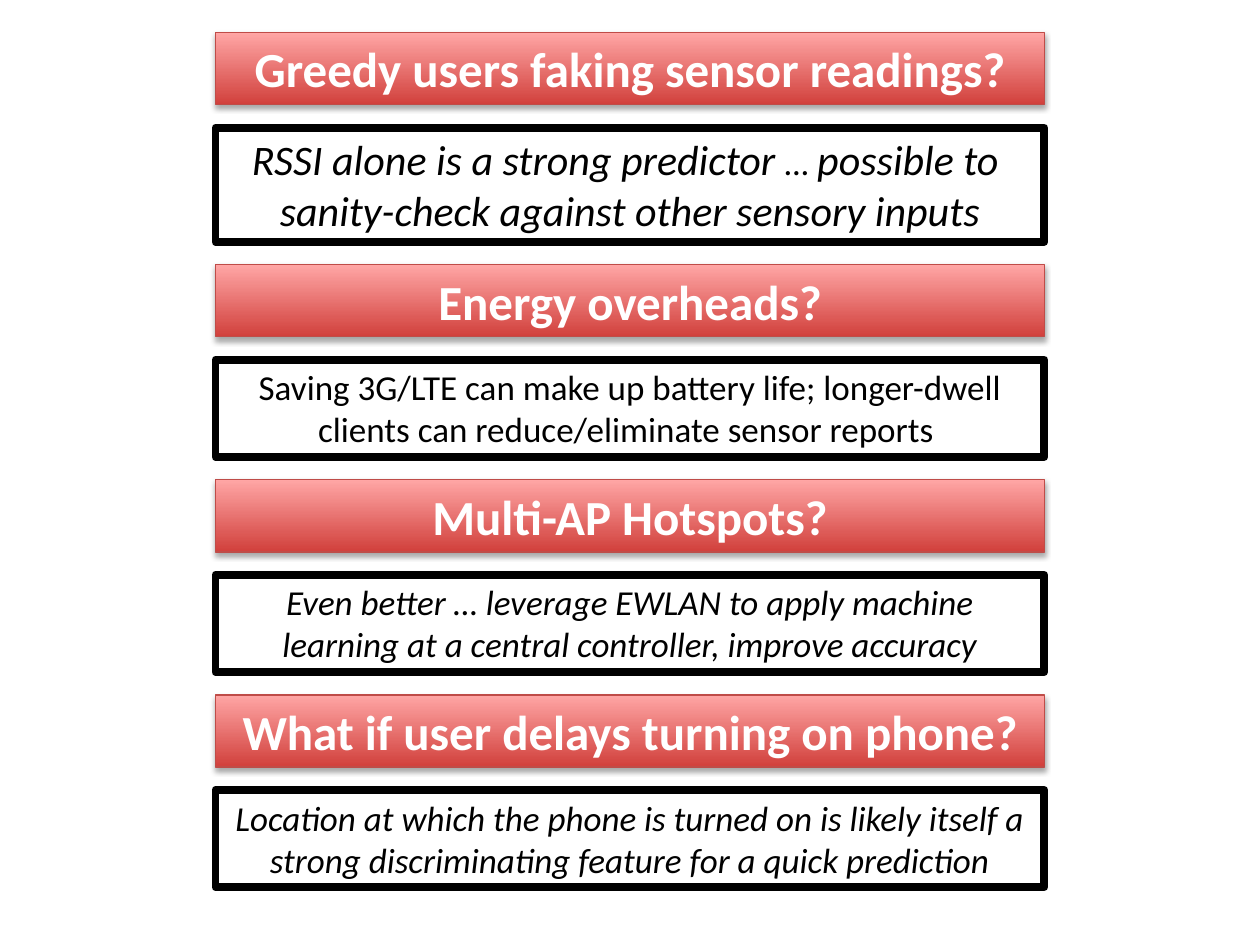
from dataclasses import dataclass

from lxml import etree
from pptx import Presentation
from pptx.dml.color import RGBColor
from pptx.enum.shapes import MSO_SHAPE
from pptx.enum.text import MSO_ANCHOR, MSO_AUTO_SIZE, PP_ALIGN
from pptx.oxml.ns import qn
from pptx.util import Pt

RECTANGLE = MSO_SHAPE.RECTANGLE
CENTER = PP_ALIGN.CENTER
TOP = MSO_ANCHOR.TOP
GROW = MSO_AUTO_SIZE.SHAPE_TO_FIT_TEXT


@dataclass(frozen=True)
class Theme:
    """Colours, type and line sizes of the slide."""

    font: str = "Calibri"
    black: str = "000000"
    white: str = "FFFFFF"
    red_dark: str = "D1403C"
    red_light: str = "FFA6A5"
    red_line: str = "BF4C48"
    question_size: int = 28
    large_size: int = 24
    answer_size: int = 20
    question_line: float = 0.75
    answer_line: float = 4.5


THEME = Theme()
SLIDE_SIZE = (720, 540)
LEFT, FIRST_TOP, WIDTH, GAP = 123.2, 18.7, 473.6, 13
QUESTION_HEIGHT = 41.2

ENTRIES = [
    ("Greedy users faking sensor readings?", 65.4, True, [
        [("RSSI alone is a strong predictor ", THEME.large_size),
         ("… ", THEME.answer_size),
         ("possible to ", THEME.large_size)],
        [("sanity-check against other sensory inputs", THEME.large_size)],
    ]),
    ("Energy overheads?", 55.7, False, [
        [("Saving 3G/LTE can make up battery life; longer-dwell clients can "
          "reduce/eliminate sensor reports ", THEME.answer_size)],
    ]),
    ("Multi-AP Hotspots?", 55.7, True, [
        [("Even better … leverage EWLAN to apply machine learning at a "
          "central controller, improve accuracy", THEME.answer_size)],
    ]),
    ("What if user delays turning on phone?", 55.7, True, [
        [("Location at which the phone is turned on is likely itself a strong "
          "discriminating feature for a quick prediction", THEME.answer_size)],
    ]),
]


def add_span(para, text, *, size, color, bold=False, italic=False):
    """Append formatted text to a paragraph."""
    span = para.add_run()
    span.text = text
    font = span.font
    font.name, font.size = THEME.font, Pt(size)
    font.bold, font.italic = bold, italic
    font.color.rgb = RGBColor.from_string(color)


def add_panel(page, box, paragraphs, *, line, line_width, **style):
    """Place an unfilled rectangle holding centred paragraphs of (text, size)."""
    panel = page.shapes.add_shape(RECTANGLE, *(Pt(length) for length in box))
    panel.shadow.inherit = False
    panel.fill.background()
    panel.line.color.rgb = RGBColor.from_string(line)
    panel.line.width = Pt(line_width)
    frame = panel.text_frame
    frame.word_wrap = True
    frame.auto_size = GROW
    frame.vertical_anchor = TOP
    for index, spans in enumerate(paragraphs):
        para = frame.add_paragraph() if index else frame.paragraphs[0]
        para.alignment = CENTER
        for text, size in spans:
            add_span(para, text, size=size, **style)
    return panel


def add_drop_shadow(shape):
    """Give a shape a soft shadow falling straight down."""
    effects = shape._element.spPr.find(qn("a:effectLst"))
    shadow = etree.SubElement(
        effects, qn("a:outerShdw"), blurRad=str(Pt(3.1)), dist=str(Pt(1.8)),
        dir="5400000", rotWithShape="0")
    color = etree.SubElement(shadow, qn("a:srgbClr"), val=THEME.black)
    etree.SubElement(color, qn("a:alpha"), val="35000")


def add_question(page, box, text):
    """Place a red gradient bar with a question."""
    bar = add_panel(page, box, [[(text, THEME.question_size)]],
                    line=THEME.red_line, line_width=THEME.question_line,
                    color=THEME.white, bold=True)
    bar.fill.gradient()
    bar.fill.gradient_angle = 90
    for stop, color in zip(bar.fill.gradient_stops,
                           (THEME.red_dark, THEME.red_light)):
        stop.color.rgb = RGBColor.from_string(color)
    for stop, position in zip(bar.fill.gradient_stops, (0, 1)):
        stop.position = position
    add_drop_shadow(bar)


def add_answer(page, box, paragraphs, italic):
    """Place a heavily outlined answer box."""
    add_panel(page, box, paragraphs, line=THEME.black,
              line_width=THEME.answer_line, color=THEME.black, italic=italic)


def add_questions_and_answers(page, left, top, width):
    """Stack every question above its answer with equal gaps."""
    for question, answer_height, italic, answer in ENTRIES:
        add_question(page, (left, top, width, QUESTION_HEIGHT), question)
        top += QUESTION_HEIGHT + GAP
        add_answer(page, (left, top, width, answer_height), answer, italic)
        top += answer_height + GAP


def main():
    """Build and save the deck."""
    deck = Presentation()
    deck.slide_width, deck.slide_height = (Pt(side) for side in SLIDE_SIZE)
    page = deck.slides.add_slide(deck.slide_layouts[6])
    add_questions_and_answers(page, LEFT, FIRST_TOP, WIDTH)
    deck.save("out.pptx")


if __name__ == "__main__":
    main()
